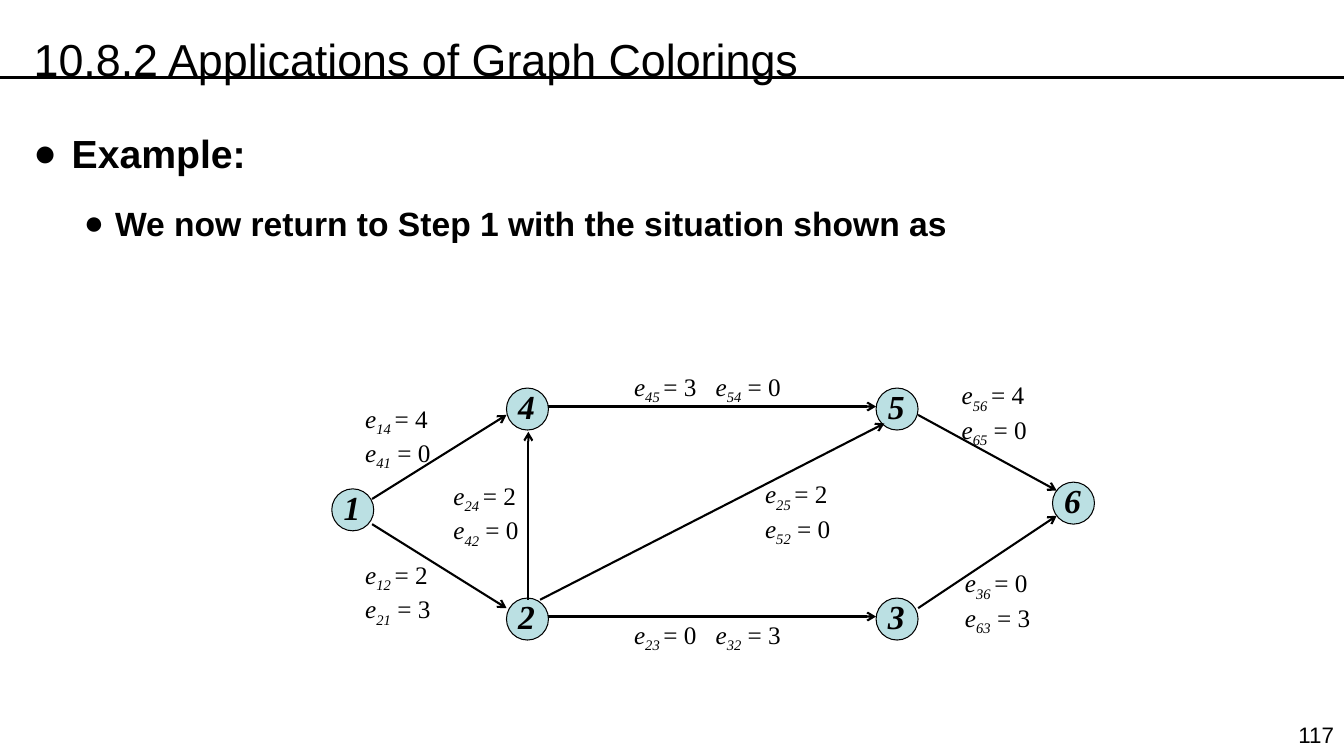
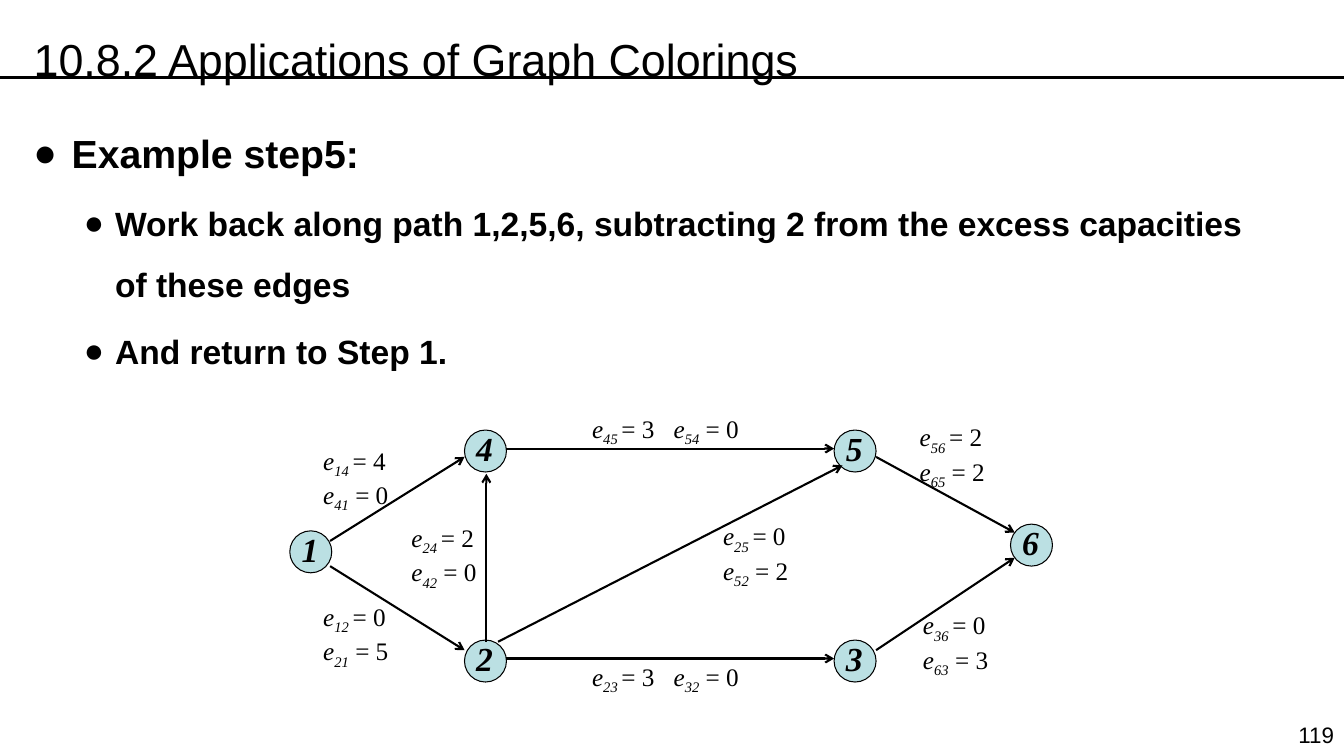
import pptx
import pptx.dml.color
import pptx.enum.shapes
import pptx.enum.text
import pptx.oxml
import pptx.oxml.ns
import pptx.util

COLORS = {"ink": "000000", "node": "BBE0E3"}
SANS, SERIF = "Arial", "Times New Roman"
COLUMNS, ROWS = 160, 90
TITLE = "10.8.2 Applications of Graph Colorings"
TITLE_BOX = (2.8, 0, 145, 9.7)
BODY_BOX = (2.8, 12, 151, 76)
NUMBER_BOX = (152.4, 85.2, 7.6, 4.4)
RULE_ROW = 9.2
BULLET_LEVELS = [(28, 0.38, 0.38), (24, 0.81, 0.31)]

NODE_SIZE = 5
NODES = {
    "1": (0, 12), "2": (20.8, 25), "3": (64.8, 25),
    "4": (20.8, 0), "5": (64.8, 0), "6": (85.8, 11.2),
}
EDGE_ENDS = {
    "45": ((5, 2.2), (0, 2.2)),
    "23": ((5, 2.2), (0, 2.2)),
    "14": ((4.8, 1.2), (0, 3.2)),
    "12": ((4.8, 4.2), (0, 1.2)),
    "56": ((5, 3.2), (0.5, 1)),
    "36": ((5, 1.2), (0.5, 4)),
    "25": ((4, 0.2), (1, 4.2)),
    "24": ((2.6, 0.2), (2.6, 5.2)),
}
STACKED_LABELS = {
    "56": (73.8, -1.6), "36": (74.2, 20.8), "14": (2.8, 1.2),
    "12": (2.8, 19.8), "24": (13.3, 10.4), "25": (50.4, 10.2),
}
INLINE_LABELS = {"45": (34.8, -2.6), "23": (34.8, 26.9)}

SLIDES = [
    {
        "number": "117",
        "body": [(0, "Example:"), (1, "We now return to Step 1 with the situation shown as")],
        "graph": (39.5, 46.2),
        "excess": {"14": (4, 0), "12": (2, 3), "24": (2, 0), "25": (2, 0),
                   "45": (3, 0), "23": (0, 3), "56": (4, 0), "36": (0, 3)},
    },
    {
        "number": "119",
        "body": [
            (0, "Example step5:"),
            (1, "Work back along path 1,2,5,6, subtracting 2 from the excess capacities of these edges"),
            (1, "And return to Step 1."),
        ],
        "graph": (34.5, 51.2),
        "excess": {"14": (4, 0), "12": (0, 5), "24": (2, 0), "25": (0, 2),
                   "45": (3, 0), "23": (3, 0), "56": (2, 2), "36": (0, 3)},
    },
]


def cells(*values):
    """Convert grid cells of a twelfth of an inch to lengths."""
    return [pptx.util.Inches(value / 12) for value in values]


def color(name):
    """Return a named palette colour."""
    return pptx.dml.color.RGBColor.from_string(COLORS[name])


def style_font(font, size, name, bold=False, italic=False):
    """Set the typeface and colour of a font."""
    font.size, font.name = pptx.util.Pt(size), name
    font.bold, font.italic = bold, italic
    font.color.rgb = color("ink")


def add_property(parent, xml):
    """Append a drawing element written as XML."""
    namespace = pptx.oxml.ns.nsdecls("a")
    parent.append(pptx.oxml.parse_xml(xml.replace("NS", namespace, 1)))


def add_text_box(slide, box):
    """Add a wrapping text box and return its frame."""
    frame = slide.shapes.add_textbox(*cells(*box)).text_frame
    frame.word_wrap = True
    return frame


def add_line(slide, start, end, width, arrow=False):
    """Draw a straight line, with an arrowhead if asked."""
    line = slide.shapes.add_connector(
        pptx.enum.shapes.MSO_CONNECTOR.STRAIGHT, *cells(*start, *end))
    line.line.color.rgb = color("ink")
    line.line.width = pptx.util.Pt(width)
    if arrow:
        add_property(line.line._get_or_add_ln(), '<a:tailEnd NS type="arrow"/>')
    add_property(line._element.spPr, "<a:effectLst NS/>")


def add_frame(slide, number):
    """Place the title, the rule and the slide number."""
    title = slide.shapes.title
    title.left, title.top, title.width, title.height = cells(*TITLE_BOX)
    frame = title.text_frame
    frame.text = TITLE
    frame.auto_size = pptx.enum.text.MSO_AUTO_SIZE.NONE
    frame.vertical_anchor = pptx.enum.text.MSO_ANCHOR.TOP
    paragraph = frame.paragraphs[0]
    paragraph.alignment = pptx.enum.text.PP_ALIGN.LEFT
    paragraph.line_spacing = 1.5
    style_font(paragraph.runs[0].font, 32, SANS)
    add_line(slide, (0, RULE_ROW), (COLUMNS, RULE_ROW), 2.25)
    paragraph = add_text_box(slide, NUMBER_BOX).paragraphs[0]
    paragraph.text = number
    paragraph.alignment = pptx.enum.text.PP_ALIGN.RIGHT
    style_font(paragraph.runs[0].font, 16, SANS)


def add_body(slide, box, items):
    """Write the bulleted text at its levels."""
    frame = add_text_box(slide, box)
    for index, (level, text) in enumerate(items):
        paragraph = frame.add_paragraph() if index else frame.paragraphs[0]
        paragraph.text = text
        paragraph.level = level
        paragraph.line_spacing = 1.5
        size, margin, hanging = BULLET_LEVELS[level]
        if index:
            paragraph.space_before = pptx.util.Pt(size * 0.2)
        properties = paragraph._p.get_or_add_pPr()
        properties.set("marL", str(pptx.util.Inches(margin)))
        properties.set("indent", str(-pptx.util.Inches(hanging)))
        add_property(properties, '<a:buFont NS typeface="Arial"/>')
        add_property(properties, '<a:buChar NS char="●"/>')
        style_font(paragraph.runs[0].font, size, SANS, bold=True)


def add_node(slide, left, top, name):
    """Draw a numbered graph node."""
    node = slide.shapes.add_shape(
        pptx.enum.shapes.MSO_SHAPE.OVAL, *cells(left, top, NODE_SIZE, NODE_SIZE))
    node.shadow.inherit = False
    node.fill.solid()
    node.fill.fore_color.rgb = color("node")
    node.line.color.rgb = color("ink")
    node.line.width = pptx.util.Pt(0.75)
    frame = node.text_frame
    frame.text = name
    frame.word_wrap = False
    frame.vertical_anchor = pptx.enum.text.MSO_ANCHOR.MIDDLE
    frame.margin_left = frame.margin_top = 0
    frame.margin_right, frame.margin_bottom = cells(0.2, 0.7)
    frame.paragraphs[0].alignment = pptx.enum.text.PP_ALIGN.CENTER
    style_font(frame.paragraphs[0].runs[0].font, 24, SERIF, bold=True, italic=True)


def add_excess(paragraph, subscript, value):
    """Write one excess capacity with its subscript."""
    for text, italic, baseline in (("e", True, 0), (subscript, True, -25000), (value, False, 0)):
        run = paragraph.add_run()
        run.text = text
        style_font(run.font, 18, SERIF, italic=italic)
        if baseline:
            run._r.get_or_add_rPr().set("baseline", str(baseline))


def add_label(slide, left, top, edge, excess, stacked):
    """Label an edge with its excess in both directions."""
    frame = add_text_box(slide, (left, top, 12 if stacked else 22, 8.4 if stacked else 4.8))
    first = second = frame.paragraphs[0]
    if stacked:
        second = frame.add_paragraph()
    else:
        stop = pptx.util.Inches(0.81)
        add_property(first._p.get_or_add_pPr(),
                     f'<a:tabLst NS><a:tab pos="{stop}" algn="l"/></a:tabLst>')
    forward, backward = excess
    add_excess(first, f"{edge} ", f"= {forward}" + ("" if stacked else "\t"))
    add_excess(second, edge[::-1], f" = {backward}")


def add_graph(slide, origin, excess):
    """Draw the flow network from its top left corner."""
    def shift(point, base=origin):
        return point[0] + base[0], point[1] + base[1]

    for name, place in NODES.items():
        add_node(slide, *shift(place), name)
    for edge, (start, end) in EDGE_ENDS.items():
        add_line(slide, shift(start, shift(NODES[edge[0]])),
                 shift(end, shift(NODES[edge[1]])), 1.5, arrow=True)
    for labels, stacked in ((STACKED_LABELS, True), (INLINE_LABELS, False)):
        for edge, place in labels.items():
            add_label(slide, *shift(place), edge, excess[edge], stacked)


def main():
    """Build and save the presentation."""
    presentation = pptx.Presentation()
    presentation.slide_width, presentation.slide_height = cells(COLUMNS, ROWS)
    for content in SLIDES:
        slide = presentation.slides.add_slide(presentation.slide_layouts[5])
        add_frame(slide, content["number"])
        add_body(slide, BODY_BOX, content["body"])
        add_graph(slide, content["graph"], content["excess"])
    presentation.save("out.pptx")


if __name__ == "__main__":
    main()
